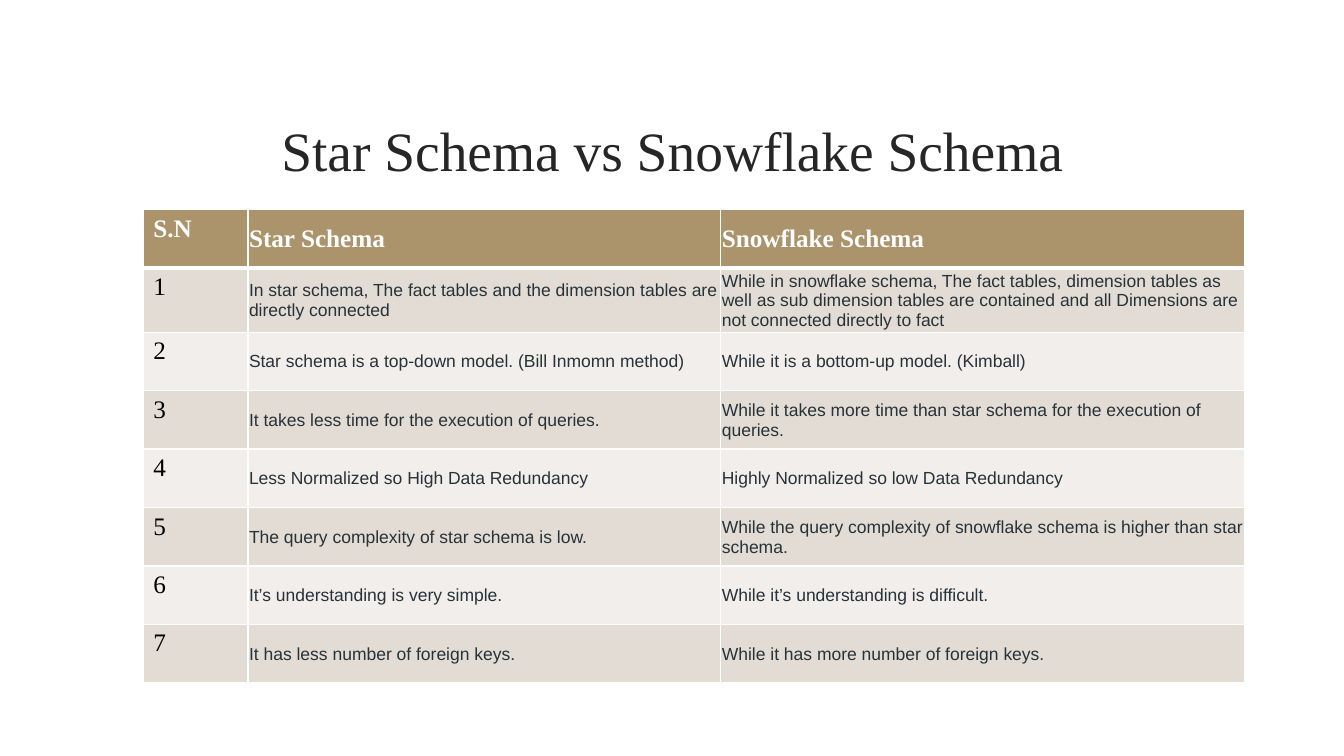
from lxml import etree
from pptx import Presentation
from pptx import util as u
from pptx.dml.color import RGBColor
from pptx.enum import shapes, text
from pptx.oxml import ns

HUES = {"gold": "AB946B", "dark": "E2DCD4", "light": "F1EEEB", "white": "FFFFFF",
        "black": "000000", "title": "262626", "body": "273239"}
SERIF, SANS = "Times New Roman", "Arial"

HEAD = ("S.N", "Star Schema", "Snowflake Schema")
PAIRS = [
    ("In star schema, The fact tables and the dimension tables are directly connected",
     "While in snowflake schema, The fact tables, dimension tables as well as sub "
     "dimension tables are contained and all Dimensions are not connected directly to fact"),
    ("Star schema is a top-down model. (Bill Inmomn method)",
     "While it is a bottom-up model. (Kimball)"),
    ("It takes less time for the execution of queries.",
     "While it takes more time than star schema for the execution of queries."),
    ("Less Normalized so High Data Redundancy",
     "Highly Normalized so low Data Redundancy"),
    ("The query complexity of star schema is low.",
     "While the query complexity of snowflake schema is higher than star schema."),
    ("It’s understanding is very simple.",
     "While it’s understanding is difficult."),
    ("It has less number of foreign keys.",
     "While it has more number of foreign keys."),
]
COLS = (1.04, 4.69, 5.19)
ROW = 0.58


def hue(name):
    return RGBColor.from_string(HUES[name])


def write(frame, words, size=18, font=SERIF, color="black", bold=False,
          align=text.PP_ALIGN.LEFT):
    para = frame.paragraphs[0]
    para.alignment = align
    run = para.add_run()
    run.text = words
    run.font.size = u.Pt(size)
    run.font.name = font
    run.font.bold = bold
    run.font.color.rgb = hue(color)


def add_rule(slide):
    rule = slide.shapes.add_connector(
        shapes.MSO_CONNECTOR.STRAIGHT,
        u.Inches(1.53), u.Inches(2.65), u.Inches(11.81), u.Inches(2.65))
    rule.line.color.rgb = hue("gold")
    rule.line.width = u.Pt(1.25)
    etree.SubElement(rule._element.spPr, ns.qn("a:effectLst"))


def add_title(slide, words):
    box = slide.shapes.add_textbox(
        u.Inches(1.42), u.Inches(1.07), u.Inches(10.5), u.Inches(0.82))
    frame = box.text_frame
    frame.word_wrap = True
    frame.vertical_anchor = text.MSO_ANCHOR.MIDDLE
    write(frame, words, size=39.6, color="title", align=text.PP_ALIGN.CENTER)


def set_edges(cell, base):
    """White borders on all sides; base is the bottom width in points."""
    props = cell._tc.get_or_add_tcPr()
    for side, width in (("L", 1), ("R", 1), ("T", 1), ("B", base)):
        edge = etree.SubElement(props, ns.qn("a:ln" + side), w=str(u.Pt(width)))
        fill = etree.SubElement(edge, ns.qn("a:solidFill"))
        etree.SubElement(fill, ns.qn("a:srgbClr"), val=HUES["white"])


def fill_cell(cell, words, row, col):
    set_edges(cell, 1 if row else 3)
    cell.fill.solid()
    cell.fill.fore_color.rgb = hue(("light", "dark")[row % 2] if row else "gold")
    # Text columns are centred vertically with tight margins
    if col:
        cell.vertical_anchor = text.MSO_ANCHOR.MIDDLE
        cell.margin_left = cell.margin_right = cell.margin_top = u.Inches(0.01)
        cell.margin_bottom = 0
    if row == 0:
        style = dict(color="white", bold=True)
    elif col:
        style = dict(size=12.5, font=SANS, color="body")
    else:
        style = {}
    write(cell.text_frame, words, **style)


def add_grid(slide):
    rows = [HEAD] + [(str(num), *pair) for num, pair in enumerate(PAIRS, 1)]
    grid = slide.shapes.add_table(
        len(rows), len(COLS), u.Inches(1.42), u.Inches(2.08),
        u.Inches(sum(COLS)), u.Inches(ROW * len(rows))).table
    for col, width in zip(grid.columns, COLS):
        col.width = u.Inches(width)
    for r, line in enumerate(rows):
        grid.rows[r].height = u.Inches(ROW)
        for c, words in enumerate(line):
            fill_cell(grid.cell(r, c), words, r, c)


def main():
    deck = Presentation()
    deck.slide_width, deck.slide_height = u.Inches(13.33), u.Inches(7.5)
    slide = deck.slides.add_slide(deck.slide_layouts[6])
    # The rule lies behind the table
    add_rule(slide)
    add_title(slide, "Star Schema vs Snowflake Schema")
    add_grid(slide)
    deck.save("out.pptx")


if __name__ == "__main__":
    main()
